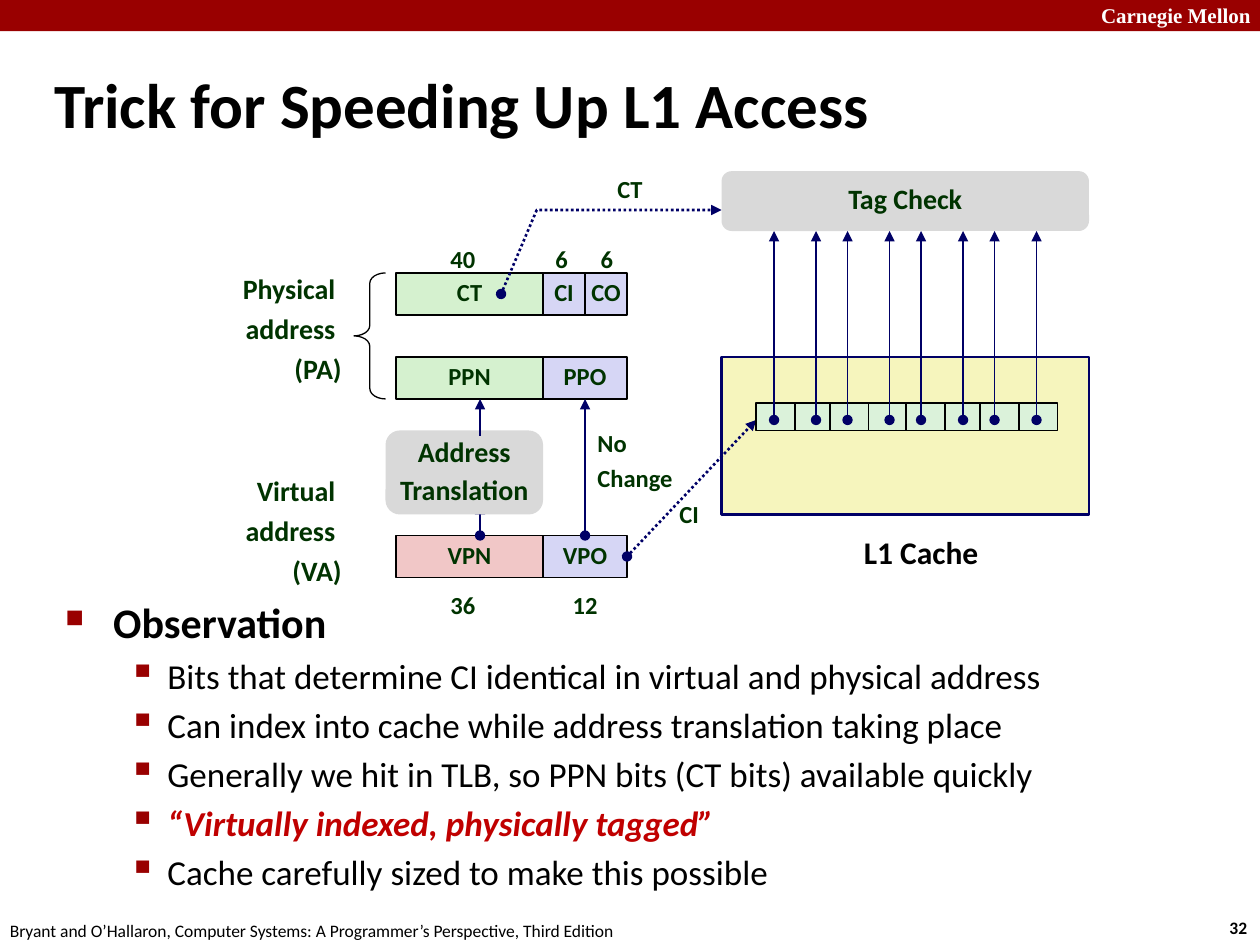
from lxml import etree
from pptx import Presentation
from pptx import util as u
from pptx.dml.color import RGBColor
from pptx.enum import dml, shapes, text
from pptx.oxml import ns

RED = RGBColor(0x99, 0x00, 0x00)
ACCENT = RGBColor(0xC0, 0x00, 0x00)
WHITE = RGBColor(0xFF, 0xFF, 0xFF)
BLACK = RGBColor(0x00, 0x00, 0x00)
DARK_GREEN = RGBColor(0x00, 0x33, 0x00)
NAVY = RGBColor(0x00, 0x00, 0x66)
GREEN = RGBColor(0xD5, 0xF1, 0xCF)
MINT = RGBColor(0xDB, 0xF2, 0xDA)
LILAC = RGBColor(0xD6, 0xD6, 0xF5)
PINK = RGBColor(0xF1, 0xC7, 0xC7)
YELLOW = RGBColor(0xF6, 0xF5, 0xBD)
GRAY = RGBColor(0xD9, 0xD9, 0xD9)

LEFT, CENTER, RIGHT = text.PP_ALIGN.LEFT, text.PP_ALIGN.CENTER, text.PP_ALIGN.RIGHT
RECTANGLE = shapes.MSO_SHAPE.RECTANGLE
ROUNDED = shapes.MSO_SHAPE.ROUNDED_RECTANGLE
WIDTH, HEIGHT = u.Inches(10), u.Inches(7.5)
CELL = u.Inches(1) / 12
GRID_LEFT = u.Inches(0.06)


def point(column, row):
    return round(GRID_LEFT + column * CELL), round(row * CELL)


def grid(column, row, columns, rows):
    return (*point(column, row), round(columns * CELL), round(rows * CELL))


def share(left, top, width, height):
    return tuple(round(part * side) for part, side in
                 zip((left, top, width, height), (WIDTH, HEIGHT) * 2))


def add_xml(parent, tag, **attributes):
    return etree.SubElement(parent, ns.qn(tag), attributes)


class Diagram:
    label_style = {"name": "Calibri", "size": u.Pt(14), "bold": True}

    def __init__(self, slide):
        self.slide = slide

    def fill_text(self, frame, lines, align=LEFT, color=DARK_GREEN, spacing=0.88,
                  before=5.2, **changes):
        for index, line in enumerate(lines):
            paragraph = frame.paragraphs[0] if index == 0 else frame.add_paragraph()
            layout = {"alignment": align, "line_spacing": spacing,
                      "space_before": u.Pt(before if index else 0)}
            for name, value in layout.items():
                setattr(paragraph, name, value)
            run = paragraph.add_run()
            run.text = line
            for name, value in {**self.label_style, **changes}.items():
                setattr(run.font, name, value)
            run.font.color.rgb = color

    def title(self, line, place):
        title = self.slide.shapes.title
        title.left, title.top, title.width, title.height = place
        title.text_frame.auto_size = text.MSO_AUTO_SIZE.NONE
        title.text_frame.vertical_anchor = text.MSO_ANCHOR.MIDDLE
        self.fill_text(title.text_frame, [line], color=BLACK, spacing=1, size=u.Pt(36))

    def label(self, lines, place, wrap=False, **style):
        frame = self.slide.shapes.add_textbox(*place).text_frame
        frame.word_wrap = wrap
        self.fill_text(frame, lines, **style)

    def box(self, place, fill=None, line=BLACK, weight=0.75, lines=(),
            kind=RECTANGLE, adjustments=(), **style):
        shape = self.slide.shapes.add_shape(kind, *place)
        shape.shadow.inherit = False
        for index, value in enumerate(adjustments):
            shape.adjustments[index] = value
        if fill is None:
            shape.fill.background()
        else:
            shape.fill.solid()
            shape.fill.fore_color.rgb = fill
        if line is None:
            shape.line.fill.background()
        else:
            shape.line.color.rgb = line
            shape.line.width = u.Pt(weight)
        shape.text_frame.word_wrap = False
        shape.text_frame.vertical_anchor = text.MSO_ANCHOR.MIDDLE
        if lines:
            self.fill_text(shape.text_frame, lines, align=CENTER, **style)

    def stage(self, lines, place):
        self.box(place, GRAY, None, lines=lines, kind=ROUNDED,
                 adjustments=[0.17], size=u.Pt(16))

    def arrow(self, *stops, dotted=False, dot=True):
        start, *rest = [point(*stop) for stop in stops]
        if len(rest) == 1:
            shape = self.slide.shapes.add_connector(
                shapes.MSO_CONNECTOR.STRAIGHT, *start, *rest[0])
        else:
            builder = self.slide.shapes.build_freeform(*start)
            builder.add_line_segments(rest, close=False)
            shape = builder.convert_to_shape()
            shape.fill.background()
        shape.line.color.rgb = NAVY
        shape.line.width = u.Pt(1.5 if dotted else 0.75)
        if dotted:
            shape.line.dash_style = dml.MSO_LINE.ROUND_DOT
        properties = shape.element.spPr
        outline = properties.find(ns.qn("a:ln"))
        if dot:
            add_xml(outline, "a:headEnd", type="oval")
        add_xml(outline, "a:tailEnd", type="triangle")
        add_xml(properties, "a:effectLst")

    def bullets(self, items, place):
        frame = self.slide.shapes.add_textbox(*place).text_frame
        frame.word_wrap = True
        for index, (line, level, color, emphasis) in enumerate(items):
            paragraph = frame.paragraphs[0] if index == 0 else frame.add_paragraph()
            paragraph.level = level
            margin, hanging, size, scale, mark = (
                (0.81, 0.31, 20, "110000", "▪") if level
                else (0.38, 0.38, 24, "60000", "■"))
            properties = paragraph._p.get_or_add_pPr()
            properties.set("marL", str(u.Inches(margin)))
            properties.set("indent", str(-u.Inches(hanging)))
            bullet_color = add_xml(properties, "a:buClr")
            add_xml(bullet_color, "a:srgbClr", val=str(RED))
            add_xml(properties, "a:buSzPct", val=scale)
            add_xml(properties, "a:buChar", char=mark)
            paragraph.space_before = u.Pt(4 if index else 0)
            run = paragraph.add_run()
            run.text = line
            style = {"name": "Calibri", "size": u.Pt(size),
                     "bold": emphasis or level == 0, "italic": emphasis}
            for name, value in style.items():
                setattr(run.font, name, value)
            run.font.color.rgb = color


def main():
    presentation = Presentation()
    presentation.slide_width, presentation.slide_height = WIDTH, HEIGHT
    slide = presentation.slides.add_slide(presentation.slide_layouts[5])
    diagram = Diagram(slide)

    # Header, footer and title
    diagram.box(share(0, 0, 1, 0.033), RED, None)
    diagram.label(["Carnegie Mellon"], share(0.864, -0.004, 0.143, 0.04), wrap=True,
                  color=WHITE, spacing=1, name="Times New Roman", size=u.Pt(12))
    diagram.label(["32"], share(0.966, 0.964, 0.037, 0.036),
                  color=BLACK, spacing=1, size=u.Pt(10))
    diagram.label(["Bryant and O’Hallaron, Computer Systems: A Programmer’s "
                   "Perspective, Third Edition"], share(-0.002, 0.967, 0.508, 0.036),
                  color=BLACK, spacing=1, size=u.Pt(10), bold=False)
    diagram.title("Trick for Speeding Up L1 Access", share(0.033, 0.067, 0.867, 0.084))

    # Address fields
    for name, column, row, columns, fill in [
            ("CT", 37, 26, 14, GREEN), ("CI", 51, 26, 4, LILAC), ("CO", 55, 26, 4, LILAC),
            ("PPN", 37, 34, 14, GREEN), ("PPO", 51, 34, 8, LILAC),
            ("VPN", 37, 51, 14, PINK), ("VPO", 51, 51, 8, LILAC)]:
        diagram.box(grid(column, row, columns, 4), fill, lines=[name])
    diagram.box(grid(33, 26, 3, 12), kind=shapes.MSO_SHAPE.LEFT_BRACE,
                adjustments=[0.33, 0.5])

    # Address names and field widths
    for lines, place in [
            (["Physical ", "address ", "(PA)"], grid(0.2, 25.7, 32.8, 11.8)),
            (["Virtual ", "address ", "(VA)"], grid(19, 44.9, 14, 11.8))]:
        diagram.label(lines, place, wrap=True, align=RIGHT, before=6, size=u.Pt(16))
    for bits, column, row, columns in [("40", 41, 23, 4.8), ("6", 51, 23, 3.6),
                                       ("6", 55.3, 23, 3.6), ("36", 41, 56, 4.8)]:
        diagram.label([bits], grid(column, row, columns, 3.7))
    diagram.label(["12"], grid(51, 56, 8, 3.7), wrap=True, align=CENTER)

    # Translation from virtual to physical
    diagram.arrow((45, 51), (45, 48))
    diagram.stage(["Address", "Translation"], grid(36, 41, 15, 8))
    diagram.arrow((45, 41.5), (45, 38), dot=False)
    diagram.arrow((55, 51), (55, 38))
    diagram.label(["No", "Change"], grid(55, 40.5, 9.6, 7.1))

    # Cache and lookup paths
    diagram.box(grid(68, 34, 35, 15), YELLOW, NAVY, 1.5)
    diagram.arrow((59, 53), (71.3, 40), dotted=True)
    diagram.label(["CI"], grid(62.8, 47.3, 4.3, 3.7))
    diagram.arrow((47, 28), (50.4, 20), (68, 20), dotted=True)
    diagram.label(["CT"], grid(56.9, 16.3, 4.8, 3.7))
    diagram.label(["L1 Cache"], grid(79, 50.2, 16, 4.8), wrap=True, align=CENTER,
                  color=BLACK, spacing=1, size=u.Pt(18))

    # Cache lines, each sent to the tag check
    for half in range(2):
        for offset in (0, 3.7, 7, 10.7):
            diagram.box(grid(71.3 + 14.3 * half + offset, 38.4, 3.7, 2.6), MINT, weight=1)
    for pair in range(4):
        for column in (73 + 7 * pair, 77 + 7 * pair):
            diagram.arrow((column, 40), (column, 22))
    diagram.stage(["Tag Check"], grid(68, 16.3, 35, 5.7))

    # Observation
    diagram.bullets([
        ("Observation", 0, BLACK, False),
        ("Bits that determine CI identical in virtual and physical address", 1, BLACK, False),
        ("Can index into cache while address translation taking place", 1, BLACK, False),
        ("Generally we hit in TLB, so PPN bits (CT bits) available quickly", 1, BLACK, False),
        ("“Virtually indexed, physically tagged”", 1, ACCENT, True),
        ("Cache carefully sized to make this possible", 1, BLACK, False),
    ], share(0.042, 0.625, 0.935, 0.341))

    presentation.save("out.pptx")


if __name__ == "__main__":
    main()
